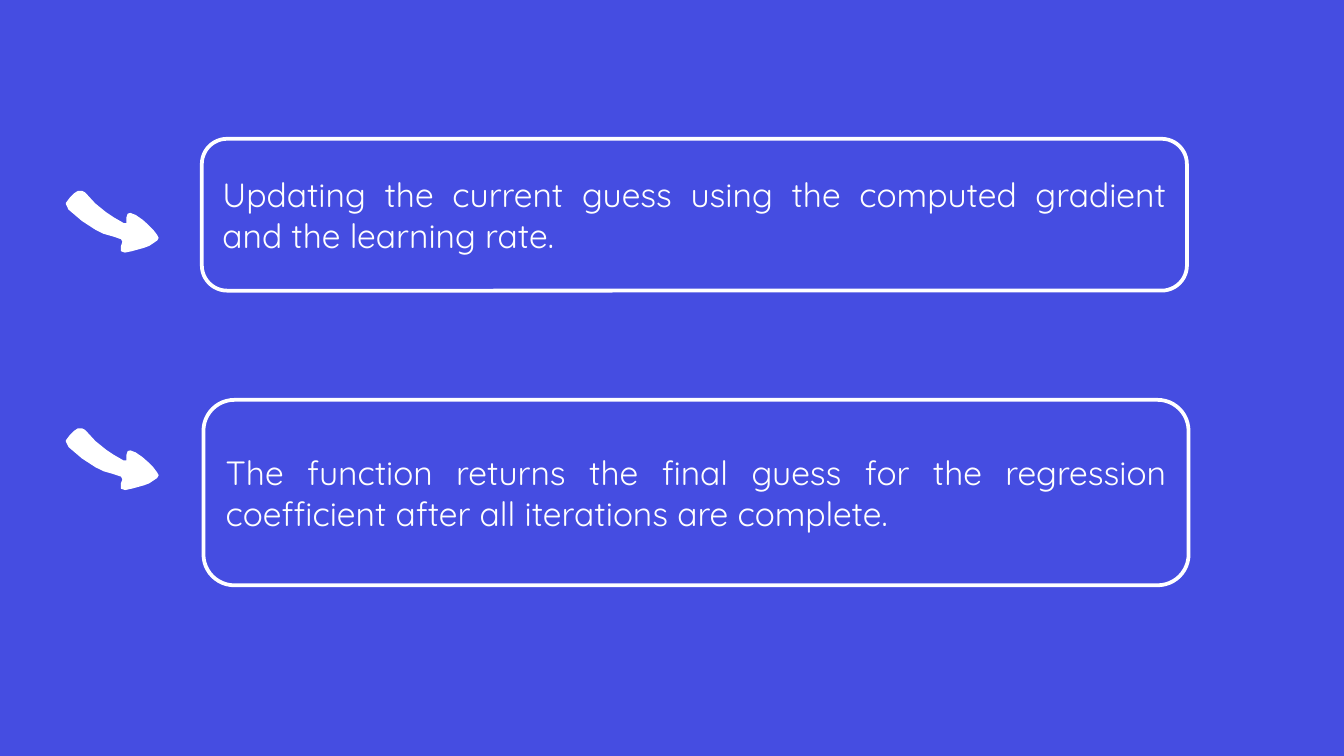
import pptx
import pptx.dml.color
import pptx.enum.shapes
import pptx.enum.text
import pptx.util


def color(hex_value):
    return pptx.dml.color.RGBColor.from_string(hex_value)


# 16:9 slide on a grid of 100 columns with square cells
presentation = pptx.Presentation()
presentation.slide_width = pptx.util.Inches(10)
presentation.slide_height = presentation.slide_width * 9 // 16
cell = presentation.slide_width // 100
slide = presentation.slides.add_slide(presentation.slide_layouts[6])
slide.background.fill.solid()
slide.background.fill.fore_color.rgb = color("454DE1")

box_width = 73.3
arrow_left = 4.9
text_format = {"name": "Quicksand", "size": pptx.util.Pt(18)}

# Each step: box left, box top, box height, arrow top, text
steps = [
    (15.02, 10.33, 11.3, 14.2,
     "Updating the current guess using the computed gradient and the learning rate."),
    (15.14, 29.75, 13.8, 31.87,
     "The function returns the final guess for the regression coefficient "
     "after all iterations are complete."),
]

# Arrow outline in cells, from the tail along the upper edge and back
arrow_outline = [
    (0, 1), (0, 0.9), (0.3, 0.5), (0.6, 0.2), (0.9, 0), (1.2, 0), (1.4, 0.1),
    (1.6, 0.3), (2.2, 0.95), (3, 1.6), (3.6, 2), (4.3, 2.4), (4.5, 2.4),
    (4.5, 2), (4.6, 1.7), (4.8, 1.65), (5.2, 1.8), (5.7, 2.15), (6.1, 2.5),
    (6.5, 2.9), (6.8, 3.3), (6.9, 3.5), (6.8, 3.7), (6.2, 4.1), (5.8, 4.25),
    (4.9, 4.5), (4.4, 4.6), (4.1, 4.5), (4.1, 4.1), (4.2, 3.8), (4.1, 3.6),
    (3.5, 3.4), (2.8, 3.2), (2.2, 2.9), (1.2, 2.25), (0.2, 1.4),
]

for box_left, box_top, box_height, arrow_top, text in steps:
    # Rounded box with justified text
    box = slide.shapes.add_shape(
        pptx.enum.shapes.MSO_SHAPE.ROUNDED_RECTANGLE,
        *(round(length * cell) for length in (box_left, box_top, box_width, box_height)))
    box.shadow.inherit = False
    box.fill.background()
    box.line.color.rgb = color("FFFFFF")
    box.line.width = pptx.util.Pt(2)
    box.text_frame.word_wrap = True
    box.text_frame.vertical_anchor = pptx.enum.text.MSO_ANCHOR.MIDDLE
    paragraph = box.text_frame.paragraphs[0]
    paragraph.alignment = pptx.enum.text.PP_ALIGN.JUSTIFY
    run = paragraph.add_run()
    run.text = text
    for attribute, value in text_format.items():
        setattr(run.font, attribute, value)
    run.font.color.rgb = color("FFFFFF")

    # Hand-drawn arrow pointing at the box
    points = [(round((arrow_left + x) * cell), round((arrow_top + y) * cell))
              for x, y in arrow_outline]
    builder = slide.shapes.build_freeform(*points[0])
    builder.add_line_segments(points[1:], close=True)
    arrow = builder.convert_to_shape()
    arrow.shadow.inherit = False
    arrow.fill.solid()
    arrow.fill.fore_color.rgb = color("FFFFFF")
    arrow.line.fill.background()

presentation.save("out.pptx")
